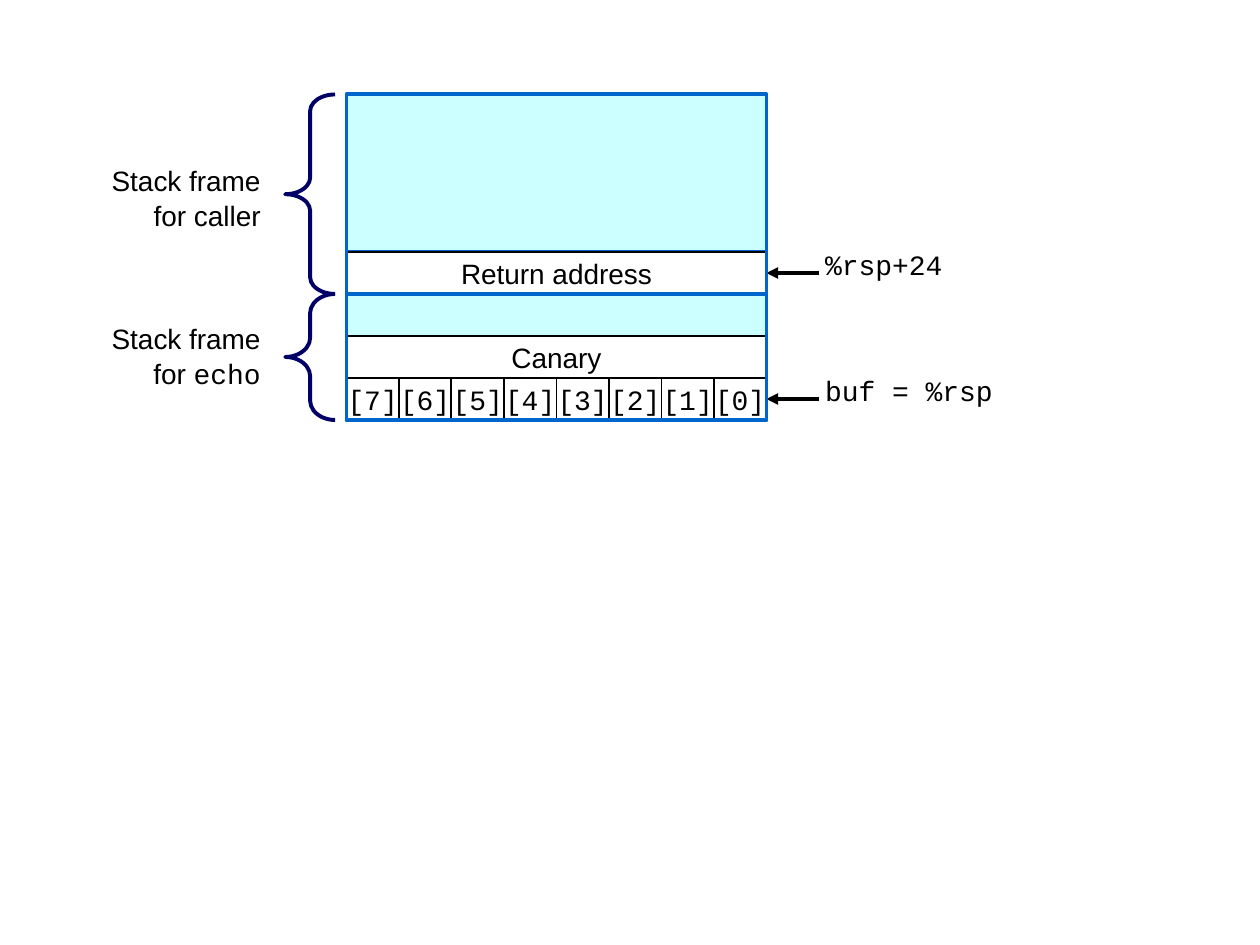
from lxml.etree import SubElement
from pptx import Presentation
from pptx.dml.color import RGBColor
from pptx.enum.shapes import MSO_CONNECTOR, MSO_SHAPE
from pptx.enum.text import MSO_ANCHOR, MSO_AUTO_SIZE, PP_ALIGN
from pptx.oxml.ns import qn
from pptx.util import Pt

BLACK = RGBColor(0x00, 0x00, 0x00)
WHITE = RGBColor(0xFF, 0xFF, 0xFF)
CYAN = RGBColor(0xCC, 0xFF, 0xFF)
BLUE = RGBColor(0x00, 0x66, 0xCC)
NAVY = RGBColor(0x00, 0x00, 0x66)
SANS, MONO = "Arial", "Courier New"

ROW, STACK_LEFT, STACK_WIDTH = 24, 198, 240
CALLER_TOP = 54
RETURN_TOP = 144
ECHO_TOP = RETURN_TOP + ROW
CANARY_TOP = ECHO_TOP + ROW
BUFFER_TOP = CANARY_TOP + ROW
STACK_BOTTOM = BUFFER_TOP + ROW
BUFFER_BYTES = 8

FRAMES = [
    (CALLER_TOP, ECHO_TOP, 0.333, 90, [("for caller", SANS)]),
    (ECHO_TOP, STACK_BOTTOM, 0.386, 180, [("for ", SANS), ("echo", MONO)]),
]


def add_box(left, top, width, height, fill, line, weight, text="", font=SANS):
    shape = slide.shapes.add_shape(
        MSO_SHAPE.RECTANGLE, Pt(left), Pt(top), Pt(width), Pt(height))
    shape.shadow.inherit = False
    if fill is None:
        shape.fill.background()
    else:
        shape.fill.solid()
        shape.fill.fore_color.rgb = fill
    shape.line.color.rgb = line
    shape.line.width = Pt(weight)
    if text:
        frame = shape.text_frame
        frame.word_wrap = False
        frame.vertical_anchor = MSO_ANCHOR.MIDDLE
        paragraph = frame.paragraphs[0]
        paragraph.text = text
        paragraph.alignment = PP_ALIGN.CENTER
        set_font(paragraph.font, font)
    return shape


def set_font(font, name):
    font.name = name
    font.size = Pt(16)
    font.color.rgb = BLACK


def add_brace(top, bottom, curve):
    brace = slide.shapes.add_shape(
        MSO_SHAPE.RIGHT_BRACE, Pt(163), Pt(top), Pt(28.5), Pt(bottom - top))
    brace.shadow.inherit = False
    brace.adjustments[0] = curve
    brace.fill.background()
    brace.line.color.rgb = NAVY
    brace.line.width = Pt(2.25)
    brace._element.spPr.find(qn("a:xfrm")).set("flipH", "1")


def add_text_frame(left, top, width, height, wrap):
    box = slide.shapes.add_textbox(Pt(left), Pt(top), Pt(width), Pt(height))
    frame = box.text_frame
    frame.word_wrap = wrap
    frame.auto_size = MSO_AUTO_SIZE.SHAPE_TO_FIT_TEXT
    return frame


def add_frame_label(top, second_line):
    frame = add_text_frame(24, top, 132, 46, True)
    first = frame.paragraphs[0]
    first.text = "Stack frame"
    set_font(first.font, SANS)
    second = frame.add_paragraph()
    second.space_before = Pt(1)
    for text, font in second_line:
        run = second.add_run()
        run.text = text
        set_font(run.font, font)
    for paragraph in frame.paragraphs:
        paragraph.alignment = PP_ALIGN.RIGHT


def add_pointer(target, row_top, text, width):
    middle = row_top + ROW / 2
    right = STACK_LEFT + STACK_WIDTH
    arrow = slide.shapes.add_connector(
        MSO_CONNECTOR.STRAIGHT, Pt(right + 30), Pt(middle), Pt(right), Pt(middle))
    arrow.end_connect(target, 3)
    arrow.line.color.rgb = BLACK
    arrow.line.width = Pt(2.25)
    SubElement(arrow.line._get_or_add_ln(), qn("a:tailEnd"), type="triangle")
    SubElement(arrow._element.spPr, qn("a:effectLst"))
    paragraph = add_text_frame(464.4, row_top - 6, width, 26.6, False).paragraphs[0]
    paragraph.text = text
    set_font(paragraph.font, MONO)


presentation = Presentation()
presentation.slide_width, presentation.slide_height = Pt(720), Pt(540)
slide = presentation.slides.add_slide(presentation.slide_layouts[6])

add_box(STACK_LEFT, ECHO_TOP, STACK_WIDTH, STACK_BOTTOM - ECHO_TOP, CYAN, BLUE, 2.25)
add_box(STACK_LEFT, CALLER_TOP, STACK_WIDTH, RETURN_TOP - CALLER_TOP, CYAN, BLUE, 2.25)
return_address = add_box(
    STACK_LEFT, RETURN_TOP, STACK_WIDTH, ROW, WHITE, BLACK, 1, "Return address")

for top, bottom, curve, label_top, second_line in FRAMES:
    add_brace(top, bottom, curve)
    add_frame_label(label_top, second_line)

cell_width = STACK_WIDTH / BUFFER_BYTES
for column in range(BUFFER_BYTES):
    last_cell = add_box(
        STACK_LEFT + column * cell_width, BUFFER_TOP, cell_width, ROW,
        WHITE, BLACK, 1, f"[{BUFFER_BYTES - 1 - column}]", MONO)

add_pointer(return_address, RETURN_TOP, "%rsp+24", 82)
add_pointer(last_cell, BUFFER_TOP, "buf = %rsp", 111.6)
add_box(STACK_LEFT, CANARY_TOP, STACK_WIDTH, ROW, WHITE, BLACK, 1, "Canary")

for top, bottom, *_ in reversed(FRAMES):
    add_box(STACK_LEFT, top, STACK_WIDTH, bottom - top, None, BLUE, 2.25)

presentation.save("out.pptx")
